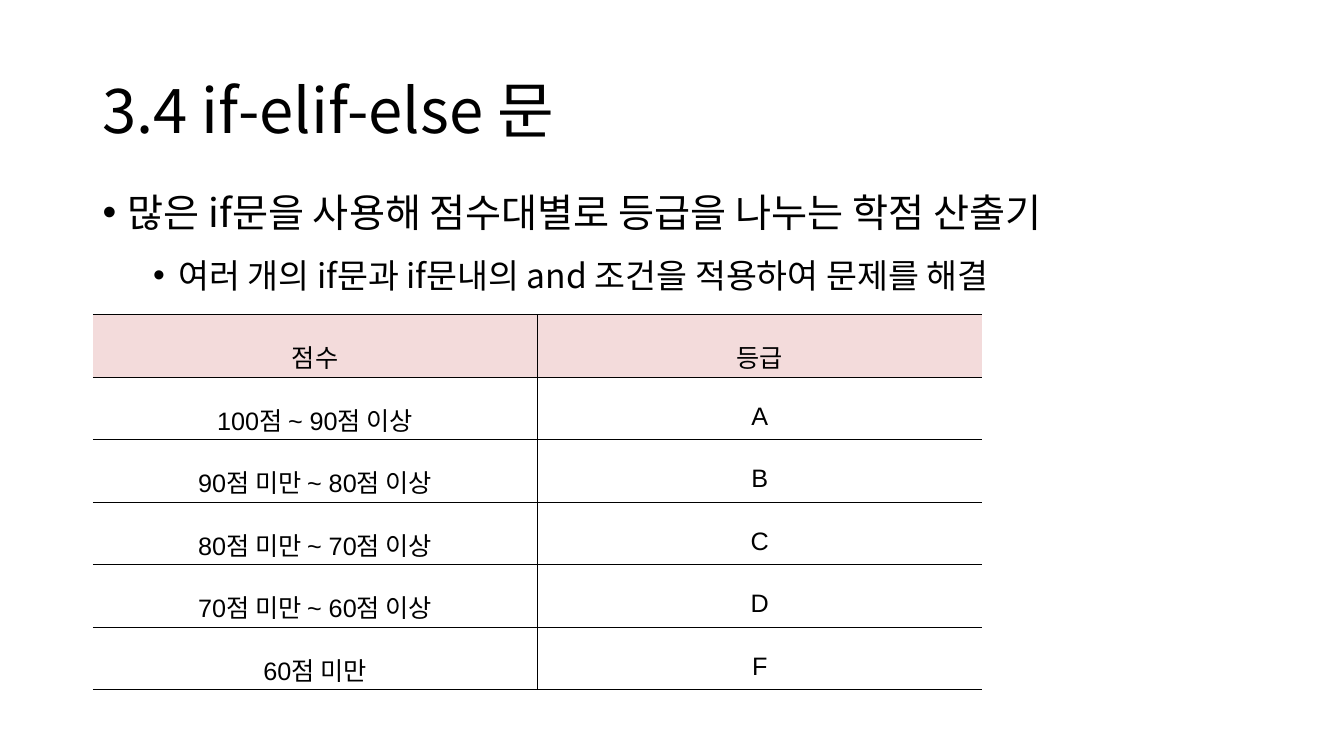
import pptx
import pptx.dml.color
import pptx.enum.text
import pptx.oxml
import pptx.oxml.ns
import pptx.util

WIDTH, HEIGHT = 13.33, 7.5
MARGIN = 0.92
CONTENT_WIDTH = 11.5
COLUMN_WIDTH, ROW_HEIGHT = 4.41, 0.62
KOREAN_FONT = "Noto Sans CJK KR"
COLORS = {"ink": "000000", "header": "F3DBDB"}

BULLETS = [
    # text, size, level, left indent, space before
    ("많은 if문을 사용해 점수대별로 등급을 나누는 학점 산출기", 28, 0, 0.25, 0),
    ("여러 개의 if문과 if문내의 and 조건을 적용하여 문제를 해결", 24, 1, 0.75, 5),
]
GRADES = [
    ("점수", "등급"),
    ("100점 ~ 90점 이상", "A"),
    ("90점 미만 ~ 80점 이상", "B"),
    ("80점 미만 ~ 70점 이상", "C"),
    ("70점 미만 ~ 60점 이상", "D"),
    ("60점 미만", "F"),
]


def rgb(name):
    return pptx.dml.color.RGBColor.from_string(COLORS[name])


def add_xml(parent, tag, **attributes):
    child = pptx.oxml.parse_xml(f"<a:{tag} {pptx.oxml.ns.nsdecls('a')}/>")
    for key, value in attributes.items():
        child.set(key, str(value))
    parent.append(child)
    return child


def format_para(para, size, font, line_spacing):
    para.line_spacing = line_spacing
    for span in para.runs:
        span.font.size = pptx.util.Pt(size)
        span.font.name = font
        span.font.color.rgb = rgb("ink")
        add_xml(span._r.get_or_add_rPr(), "ea", typeface=KOREAN_FONT)


def add_box(page, top, height, anchor):
    box = page.shapes.add_textbox(*map(pptx.util.Inches, (MARGIN, top, CONTENT_WIDTH, height)))
    box.text_frame.word_wrap = True
    box.text_frame.vertical_anchor = anchor
    return box.text_frame


def add_title(page, text):
    frame = add_box(page, 0.4, 1.45, pptx.enum.text.MSO_ANCHOR.MIDDLE)
    frame.text = text
    format_para(frame.paragraphs[0], 44, KOREAN_FONT, 0.9)


def add_bullets(page):
    frame = add_box(page, 1.68, 4.76, pptx.enum.text.MSO_ANCHOR.TOP)
    frame.text = "\n".join(bullet[0] for bullet in BULLETS)
    for para, (_, size, level, indent, before) in zip(frame.paragraphs, BULLETS):
        para.level = level
        properties = para._p.get_or_add_pPr()
        properties.set("marL", str(pptx.util.Inches(indent)))
        properties.set("indent", str(pptx.util.Inches(-0.25)))
        add_xml(properties, "buFont", typeface="Arial")
        add_xml(properties, "buChar", char="•")
        para.space_before = pptx.util.Pt(before)
        format_para(para, size, KOREAN_FONT, 1.3)


def set_borders(cell, visible_sides):
    for side in "LRTB":
        line = add_xml(cell._tc.get_or_add_tcPr(), f"ln{side}", w=pptx.util.Pt(0.28))
        if side in visible_sides:
            add_xml(add_xml(line, "solidFill"), "srgbClr", val=COLORS["ink"])
        else:
            add_xml(line, "noFill")


def fill_cell(cell, text, is_header, visible_sides):
    cell.text = text
    cell.vertical_anchor = pptx.enum.text.MSO_ANCHOR.MIDDLE
    cell.margin_left = cell.margin_right = pptx.util.Inches(0.07)
    cell.margin_top = cell.margin_bottom = pptx.util.Inches(0.02)
    para = cell.text_frame.paragraphs[0]
    para.alignment = pptx.enum.text.PP_ALIGN.CENTER
    format_para(para, 18, "Arial", 1.6)
    set_borders(cell, visible_sides)
    if is_header:
        cell.fill.solid()
        cell.fill.fore_color.rgb = rgb("header")
    else:
        cell.fill.background()


def add_grades(page):
    rows, columns = len(GRADES), len(GRADES[0])
    area = (MARGIN, 3.12, columns * COLUMN_WIDTH, rows * ROW_HEIGHT)
    table = page.shapes.add_table(rows, columns, *map(pptx.util.Inches, area)).table
    table.first_row = table.horz_banding = False
    for row, texts in enumerate(GRADES):
        for column, text in enumerate(texts):
            # Only the divider between the columns is drawn upright
            sides = "RTB" if column == 0 else "LTB"
            fill_cell(table.cell(row, column), text, row == 0, sides)


def main():
    deck = pptx.Presentation()
    deck.slide_width = pptx.util.Inches(WIDTH)
    deck.slide_height = pptx.util.Inches(HEIGHT)
    page = deck.slides.add_slide(deck.slide_layouts[6])

    # Heading and explanation
    add_title(page, "3.4 if-elif-else 문")
    add_bullets(page)

    # Score ranges and their grades
    add_grades(page)
    deck.save("out.pptx")


if __name__ == "__main__":
    main()
